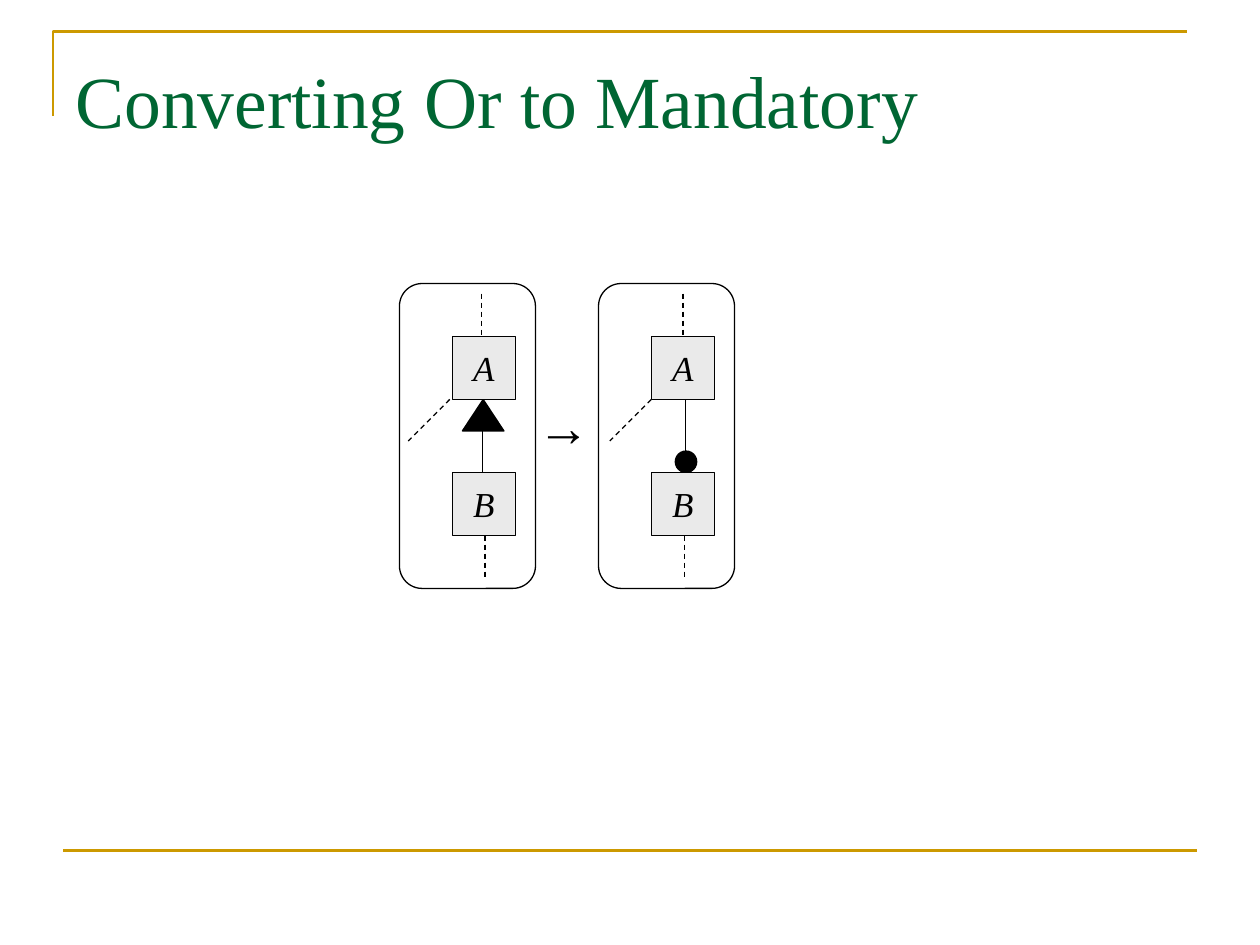
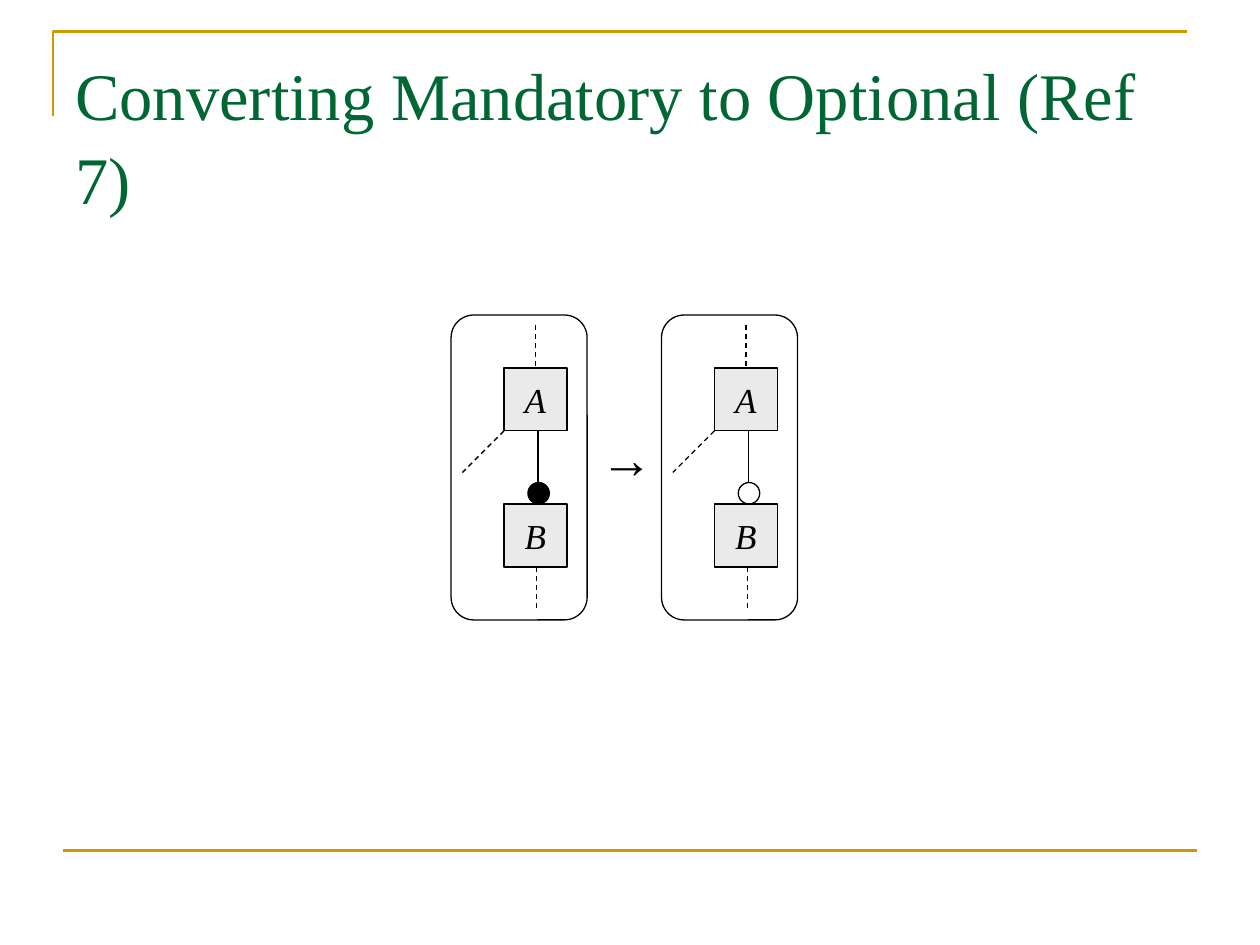
from dataclasses import dataclass

from lxml.etree import SubElement
from pptx import Presentation
from pptx.dml.color import RGBColor
from pptx.enum.dml import MSO_LINE
from pptx.enum.shapes import MSO_CONNECTOR, MSO_SHAPE
from pptx.enum.text import MSO_ANCHOR, PP_ALIGN
from pptx.oxml.ns import qn
from pptx.shapes.autoshape import Shape
from pptx.slide import Slide
from pptx.text.text import TextFrame
from pptx.util import Inches, Pt

GOLD, GREEN, GREY = "CC9900", "006633", "EAEAEA"
BLACK, WHITE = "000000", "FFFFFF"
SERIF, MONO = "Times New Roman", "Courier New"


@dataclass
class Panel:
    """A feature diagram: its left edge, link mark and the fine shifts of its lines."""
    left: float
    mark: str
    stem: float = 0.67
    reach: float = 0.42


@dataclass
class Page:
    """A slide with two panels and an arrow between them."""
    title: str
    size: int
    top: float
    arrow: float
    panels: tuple[Panel, Panel]


PAGES = [
    Page("Converting Or to Mandatory", 42, 2.25, 4.25,
         (Panel(3.17, "or", 0.65, 0.4), Panel(4.75, "must"))),
    Page("Converting Mandatory to Optional (Ref 7)", 38, 2.5, 4.75,
         (Panel(3.58, "must"), Panel(5.25, "may"))),
]


def tint(code: str) -> RGBColor:
    """Turn a hex string into a colour."""
    return RGBColor.from_string(code)


def write(frame: TextFrame, text: str, face: str, size: int, code: str) -> None:
    """Write one paragraph in one font."""
    line = frame.paragraphs[0]
    line.text = text
    line.font.name, line.font.size = face, Pt(size)
    line.font.color.rgb = tint(code)


def draw_line(slide: Slide, start: tuple[float, float], end: tuple[float, float],
              code: str = BLACK, width: float = 0.75, dash: bool = False) -> None:
    """Draw a straight line, solid or dashed."""
    line = slide.shapes.add_connector(
        MSO_CONNECTOR.STRAIGHT, *(Inches(n) for n in start + end))
    line.line.color.rgb, line.line.width = tint(code), Pt(width)
    if dash:
        line.line.dash_style = MSO_LINE.DASH
    SubElement(line._element.spPr, qn("a:effectLst"))


def draw_shape(slide: Slide, kind: MSO_SHAPE, left: float, top: float,
               width: float, height: float, fill: str | None = None) -> Shape:
    """Draw a thinly outlined preset shape."""
    shape = slide.shapes.add_shape(kind, *map(Inches, (left, top, width, height)))
    shape.shadow.inherit = False
    shape.line.color.rgb, shape.line.width = tint(BLACK), Pt(0.75)
    if fill:
        shape.fill.solid()
        shape.fill.fore_color.rgb = tint(fill)
    else:
        shape.fill.background()
    return shape


def draw_node(slide: Slide, left: float, top: float, name: str) -> None:
    """Draw a named feature box."""
    node = draw_shape(slide, MSO_SHAPE.RECTANGLE, left, top, 0.5, 0.5, GREY)
    frame = node.text_frame
    frame.word_wrap, frame.vertical_anchor = False, MSO_ANCHOR.MIDDLE
    write(frame, name, SERIF, 20, BLACK)
    frame.paragraphs[0].font.italic = True
    frame.paragraphs[0].alignment = PP_ALIGN.CENTER


def draw_panel(slide: Slide, panel: Panel, top: float) -> None:
    """Draw a frame with features A and B and the link between them."""
    left, stem = panel.left, panel.left + panel.stem
    edge = left + panel.reach
    link = left + (0.66 if panel.mark == "or" else 0.69)
    draw_line(slide, (link, top + 0.92), (link, top + 1.5))
    if panel.mark == "or":
        draw_shape(slide, MSO_SHAPE.ISOSCELES_TRIANGLE, left + 0.5, top + 0.92,
                   0.33, 0.25, BLACK)
    else:
        fill = BLACK if panel.mark == "must" else WHITE
        draw_shape(slide, MSO_SHAPE.OVAL, left + 0.61, top + 1.33, 0.17, 0.17, fill)
    for name, drop in (("A", 0.42), ("B", 1.5)):
        draw_node(slide, left + 0.42, top + drop, name)
    draw_line(slide, (stem, top + 0.08), (stem, top + 0.42), dash=True)
    draw_line(slide, (edge, top + 0.92), (edge - 0.33, top + 1.25), dash=True)
    draw_line(slide, (left + 0.68, top + 2), (left + 0.68, top + 2.33), dash=True)
    draw_shape(slide, MSO_SHAPE.ROUNDED_RECTANGLE, left, top, 1.08, 2.42)


def draw_base(slide: Slide, page: Page) -> None:
    """Draw the gold rules and the title."""
    path = slide.shapes.build_freeform(Inches(0.42), Inches(0.92), scale=1.0)
    path.add_line_segments(
        [(Inches(0.42), Inches(0.25)), (Inches(9.42), Inches(0.25))], close=False)
    rule = path.convert_to_shape()
    rule.shadow.inherit = False
    rule.fill.background()
    rule.line.color.rgb, rule.line.width = tint(GOLD), Pt(1.5)
    draw_line(slide, (0.5, 6.75), (9.5, 6.75), GOLD, 1.5)
    box = slide.shapes.add_textbox(Inches(0.5), Inches(0.3), Inches(9), Inches(1.25))
    frame = box.text_frame
    frame.word_wrap, frame.margin_top = True, Inches(0.1)
    write(frame, page.title, SERIF, page.size, GREEN)
    frame.paragraphs[0].line_spacing = 1.05


def draw_page(slide: Slide, page: Page) -> None:
    """Draw one whole slide."""
    draw_base(slide, page)
    for panel in page.panels:
        draw_panel(slide, panel, page.top)
    box = slide.shapes.add_textbox(
        Inches(page.arrow), Inches(page.top + 0.83), Inches(0.45), Inches(0.6))
    box.text_frame.word_wrap = False
    write(box.text_frame, "→", MONO, 30, BLACK)


def main() -> None:
    """Build and save the deck."""
    deck = Presentation()
    deck.slide_width, deck.slide_height = Inches(10), Inches(7.5)
    for page in PAGES:
        draw_page(deck.slides.add_slide(deck.slide_layouts[6]), page)
    deck.save("out.pptx")


if __name__ == "__main__":
    main()
